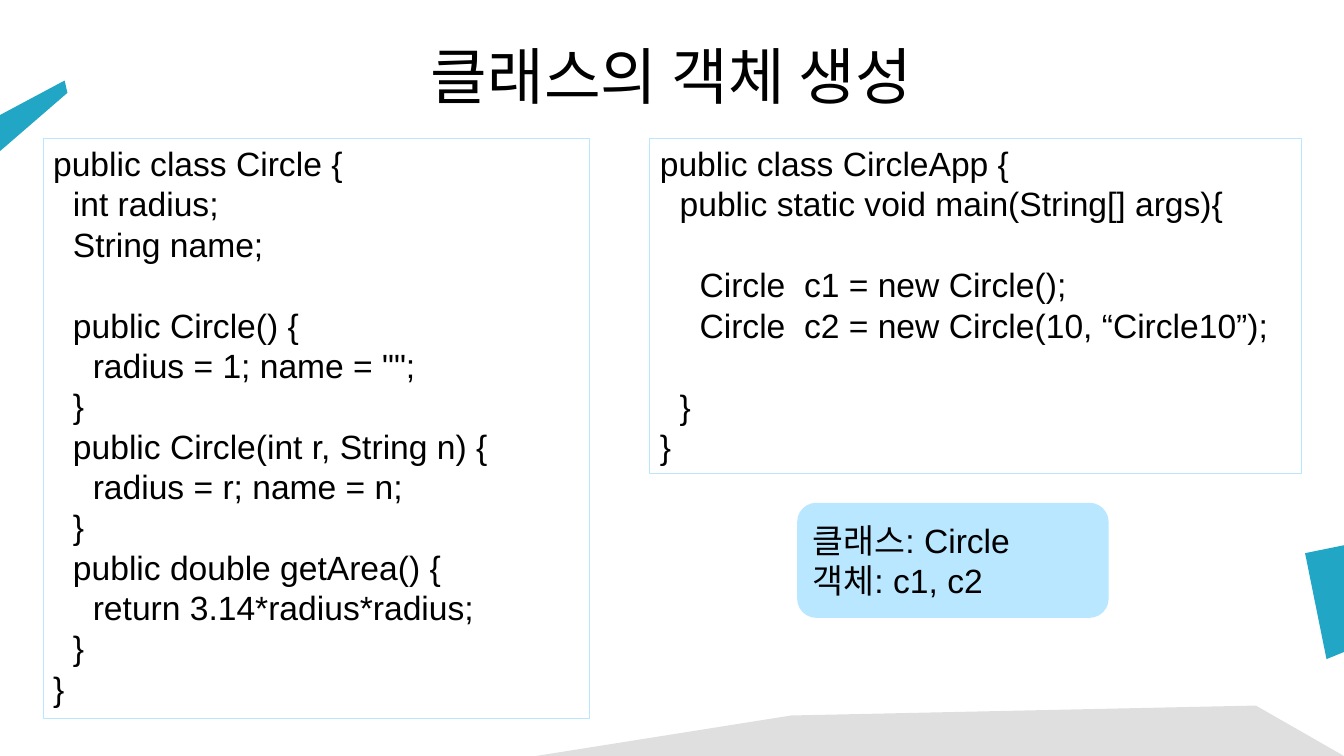
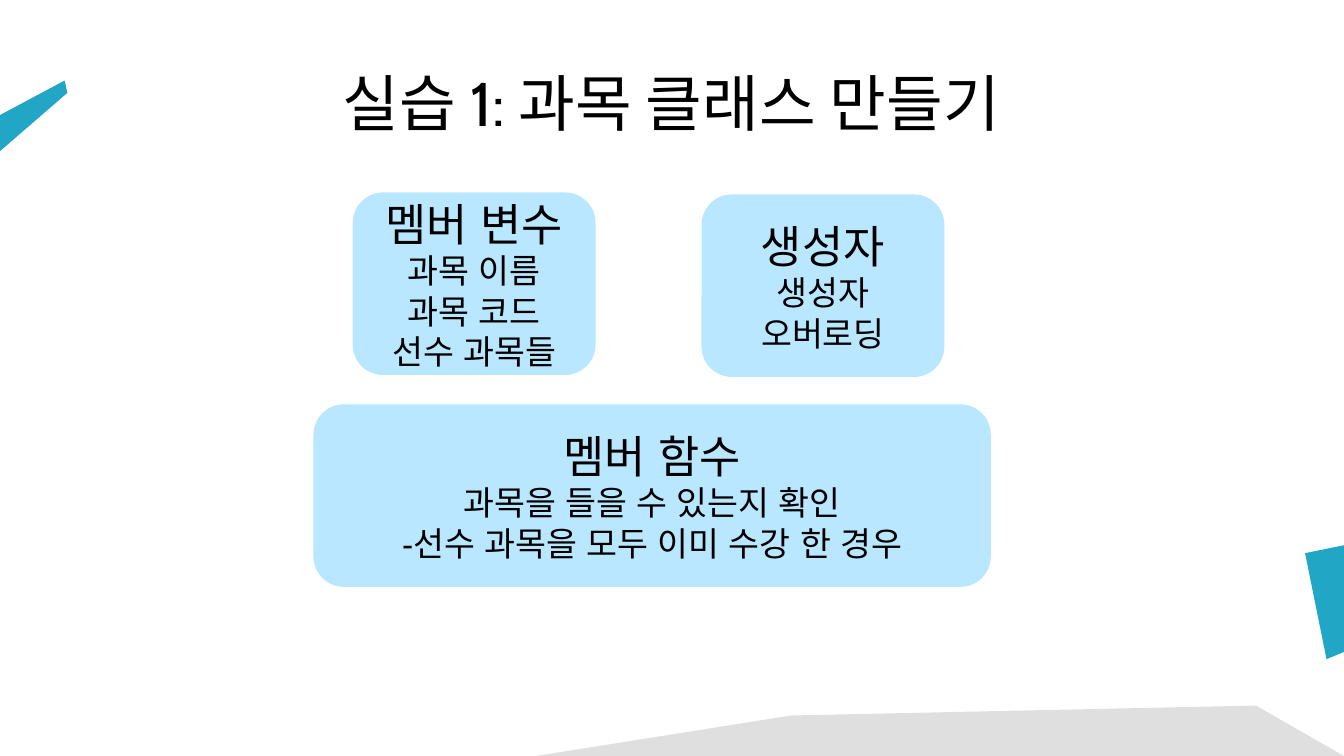
from dataclasses import dataclass

from lxml.etree import SubElement
from pptx import Presentation
from pptx.dml.color import RGBColor
from pptx.enum.lang import MSO_LANGUAGE_ID
from pptx.enum.shapes import MSO_SHAPE
from pptx.enum.text import MSO_ANCHOR, MSO_AUTO_SIZE, PP_ALIGN
from pptx.oxml.ns import qn
from pptx.util import Cm, Pt


@dataclass(frozen=True)
class Theme:
    teal: RGBColor = RGBColor(0x21, 0xA6, 0xC5)
    gray: RGBColor = RGBColor(0xC1, 0xC1, 0xC1)
    sky: RGBColor = RGBColor(0xB8, 0xE7, 0xFF)
    ink: RGBColor = RGBColor(0, 0, 0)
    title_font: str = "Cabin"
    body_font: str = "Arial"
    title_size: Pt = Pt(44)
    heading_size: Pt = Pt(32)
    body_size: Pt = Pt(24)
    code_indent: Cm = Cm(0.5)
    code_gap: Pt = Pt(29)


SLIDE_WIDTH, SLIDE_HEIGHT = 33.87, 19.05
LEFT_BLADE = [(1.63, 2.03), (1.7, 2.34), (0, 3.81), (0, 2.9)]
RIGHT_BLOCK = [(32.89, 13.94), (SLIDE_WIDTH, 13.74), (SLIDE_WIDTH, 16.43), (33.43, 16.61)]
GROUND = [(13.51, SLIDE_HEIGHT), (19.94, 18.03), (31.65, 17.78), (SLIDE_WIDTH, SLIDE_HEIGHT)]

CIRCLE_CODE = [
    "public class Circle {",
    "\tint radius;",
    "\tString name;",
    "",
    "\tpublic Circle() {",
    "\t\tradius = 1; name = \"\";",
    "\t}",
    "\tpublic Circle(int r, String n) {",
    "\t\tradius = r; name = n;",
    "\t}",
    "\tpublic double getArea() {",
    "\t\treturn 3.14*radius*radius;",
    "\t}",
    "}",
]
APP_CODE = [
    "public class CircleApp {",
    "\tpublic static void main(String[] args){",
    "",
    "\t\tCircle  c1 = new Circle();",
    "\t\tCircle  c2 = new Circle(10, “Circle10”);",
    "",
    "\t}",
    "}",
]


class Deck:
    def __init__(self, theme):
        self.theme = theme
        self.presentation = Presentation()
        self.presentation.slide_width = Cm(SLIDE_WIDTH)
        self.presentation.slide_height = Cm(SLIDE_HEIGHT)
        self.slide = None

    def add_slide(self, title, title_top):
        layout = self.presentation.slide_layouts.get_by_name("Title Only")
        self.slide = self.presentation.slides.add_slide(layout)
        self.add_polygon(LEFT_BLADE, self.theme.teal)
        self.add_polygon(RIGHT_BLOCK, self.theme.teal)
        self.add_polygon(GROUND, self.theme.gray, opacity=50)
        self.format_title(title, title_top)

    def format_title(self, title, top):
        shape = self.slide.shapes.title
        shape.left, shape.top = Cm(5.92), Cm(top)
        shape.width, shape.height = Cm(22.02), Cm(3.18)
        frame = shape.text_frame
        frame.word_wrap = True
        frame.auto_size = MSO_AUTO_SIZE.NONE
        frame.vertical_anchor = MSO_ANCHOR.MIDDLE
        paragraph = frame.paragraphs[0]
        paragraph.alignment = PP_ALIGN.CENTER
        self.add_run(paragraph, title, self.theme.title_font, self.theme.title_size)

    def add_polygon(self, points, color, opacity=100):
        corners = [(Cm(x), Cm(y)) for x, y in points]
        builder = self.slide.shapes.build_freeform(*corners[0])
        builder.add_line_segments(corners[1:], close=True)
        shape = builder.convert_to_shape()
        shape.shadow.inherit = False
        shape.line.fill.background()
        shape.fill.solid()
        shape.fill.fore_color.rgb = color
        if opacity < 100:
            color_element = shape.element.spPr.find(".//" + qn("a:srgbClr"))
            SubElement(color_element, qn("a:alpha"), val=str(opacity * 1000))

    def add_box(self, kind, left, top, width, height):
        shape = self.slide.shapes.add_shape(kind, Cm(left), Cm(top), Cm(width), Cm(height))
        shape.shadow.inherit = False
        shape.text_frame.word_wrap = True
        return shape

    def add_paragraph(self, frame, text, size, alignment=PP_ALIGN.LEFT):
        """Fill the frame's first paragraph, or append one once that is used."""
        paragraph = frame.paragraphs[0]
        if paragraph.runs:
            paragraph = frame.add_paragraph()
        paragraph.alignment = alignment
        self.add_run(paragraph, text, self.theme.body_font, size)
        return paragraph

    def add_run(self, paragraph, text, font_name, size):
        run = paragraph.add_run()
        run.text = text
        run.font.size = size
        run.font.color.rgb = self.theme.ink
        run.font.name = font_name
        run.font.language_id = MSO_LANGUAGE_ID.KOREAN
        SubElement(run.font._element, qn("a:ea"), typeface=font_name)

    def add_code(self, lines, left, top, width, height):
        """Show code; leading tabs become indents and empty lines become spacing."""
        shape = self.add_box(MSO_SHAPE.RECTANGLE, left, top, width, height)
        shape.fill.background()
        shape.line.color.rgb = self.theme.sky
        shape.line.width = Pt(0.75)
        frame = shape.text_frame
        frame.vertical_anchor = MSO_ANCHOR.TOP
        after_gap = False
        for line in lines:
            if line:
                text = line.lstrip("\t")
                paragraph = self.add_paragraph(frame, text, self.theme.body_size)
                indent = self.theme.code_indent * (len(line) - len(text))
                paragraph._p.get_or_add_pPr().set("marL", str(indent))
                if after_gap:
                    paragraph.space_before = self.theme.code_gap
            after_gap = not line

    def add_card(self, lines, left, top, width, height, heading=None):
        """Draw a rounded card, centred when it has a heading."""
        shape = self.add_box(MSO_SHAPE.ROUNDED_RECTANGLE, left, top, width, height)
        shape.fill.solid()
        shape.fill.fore_color.rgb = self.theme.sky
        shape.line.fill.background()
        frame = shape.text_frame
        frame.vertical_anchor = MSO_ANCHOR.MIDDLE
        alignment = PP_ALIGN.CENTER if heading else PP_ALIGN.LEFT
        if heading:
            self.add_paragraph(frame, heading, self.theme.heading_size, alignment)
        for line in lines:
            self.add_paragraph(frame, line, self.theme.body_size, alignment)


def main():
    deck = Deck(Theme())

    deck.add_slide("클래스의 객체 생성", title_top=0.3)
    deck.add_code(CIRCLE_CODE, 1.09, 3.48, 13.77, 14.63)
    deck.add_code(APP_CODE, 16.38, 3.48, 16.41, 8.46)
    deck.add_card(["클래스: Circle", "객체: c1, c2"], 20.09, 12.67, 7.85, 2.9)

    deck.add_slide("실습 1: 과목 클래스 만들기", title_top=0.97)
    card_height = 4.6
    deck.add_card(["과목 이름", "과목 코드", "선수 과목들"],
                  8.89, 4.85, 6.12, card_height, heading="멤버 변수")
    deck.add_card(["과목을 들을 수 있는지 확인", "-선수 과목을 모두 이미 수강 한 경우"],
                  7.9, 10.19, 17.07, card_height, heading="멤버 함수")
    deck.add_card(["생성자 오버로딩"],
                  17.68, 4.9, 6.12, card_height, heading="생성자")

    deck.presentation.save("out.pptx")


if __name__ == "__main__":
    main()
